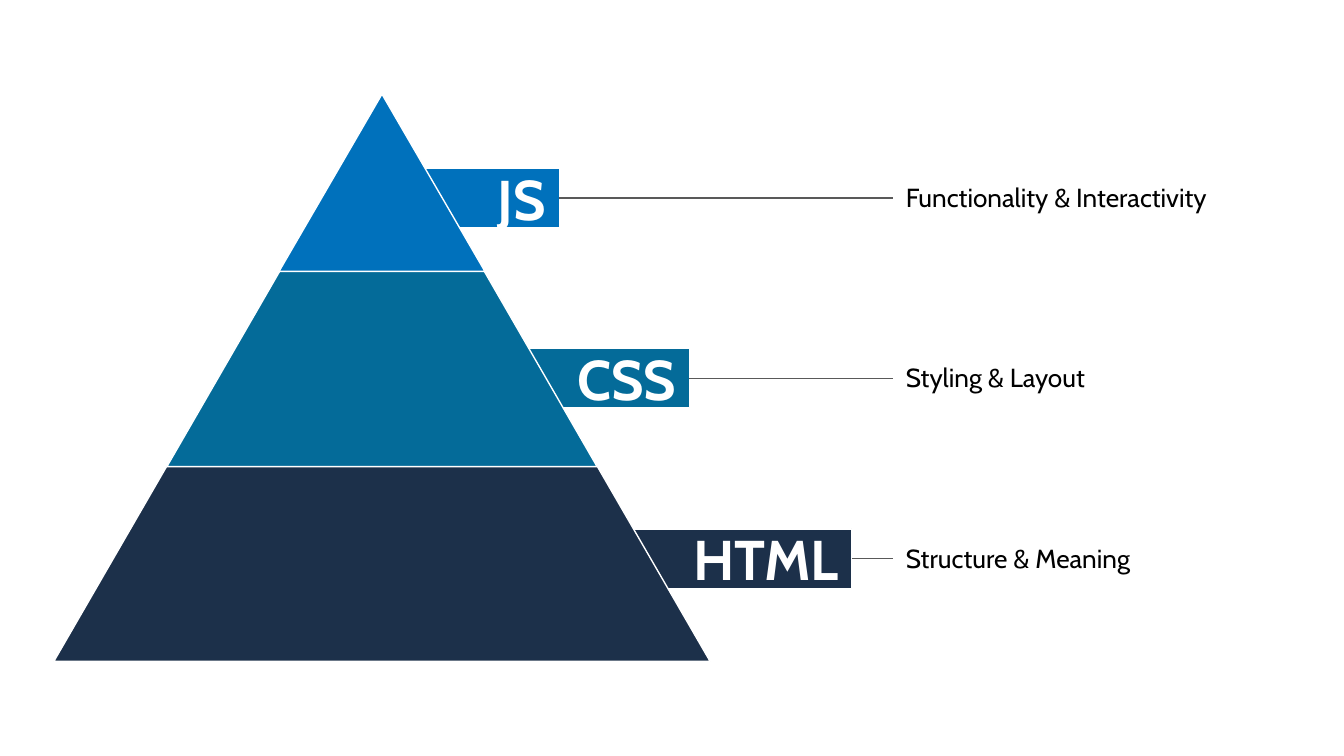
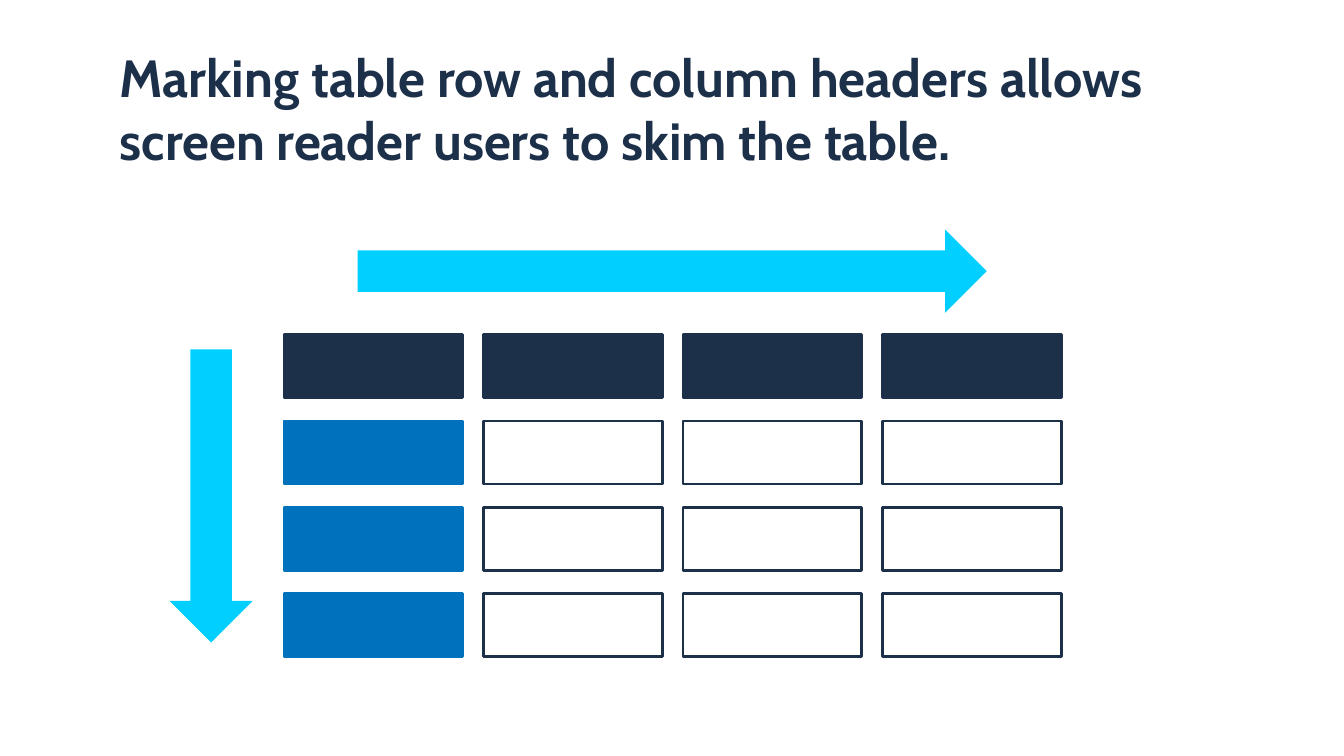
from lxml import etree
from pptx import Presentation
from pptx.dml.color import RGBColor
from pptx.enum.shapes import MSO_CONNECTOR, MSO_SHAPE
from pptx.enum.text import MSO_ANCHOR, MSO_AUTO_SIZE, PP_ALIGN
from pptx.oxml.ns import qn
from pptx.util import Cm, Pt

RECT = MSO_SHAPE.RECTANGLE
TRIANGLE = MSO_SHAPE.ISOSCELES_TRIANGLE
ARROW = MSO_SHAPE.RIGHT_ARROW
STRAIGHT = MSO_CONNECTOR.STRAIGHT
TOP, MIDDLE = MSO_ANCHOR.TOP, MSO_ANCHOR.MIDDLE
LEFT, RIGHT = PP_ALIGN.LEFT, PP_ALIGN.RIGHT
NO_FIT, GROW = MSO_AUTO_SIZE.NONE, MSO_AUTO_SIZE.SHAPE_TO_FIT_TEXT

FONT = "Cabin"
INSET = 0.25
COLORS = {
    "navy": "1C304A",
    "teal": "046B99",
    "blue": "0071BC",
    "cyan": "00CFFF",
    "gray": "595959",
    "white": "FFFFFF",
    "black": "000000",
}

LAYERS = [
    ("HTML", "Structure & Meaning", "navy", 12.4, 10.72, 11.28, 16.1),
    ("CSS", "Styling & Layout", "teal", 8.13, 7.04, 9.14, 13.03),
    ("JS", "Functionality & Interactivity", "blue", 3.89, 3.35, 7.8, 10.57),
]


def color(name):
    return RGBColor.from_string(COLORS[name])


def add_box(shapes, kind, box, fill=None, line=None, weight=0.75):
    s = shapes.add_shape(kind, *(Cm(v) for v in box))
    s.shadow.inherit = False
    if fill:
        s.fill.solid()
        s.fill.fore_color.rgb = color(fill)
    else:
        s.fill.background()
    if line:
        s.line.color.rgb = color(line)
        s.line.width = Pt(weight)
    else:
        s.line.fill.background()
    return s


def set_text(s, text, size, ink, bold=False, align=LEFT, anchor=MIDDLE, fit=NO_FIT):
    tf = s.text_frame
    tf.word_wrap = True
    tf.auto_size = fit
    tf.vertical_anchor = anchor
    tf.margin_left = tf.margin_right = Cm(INSET)
    tf.margin_top = tf.margin_bottom = Cm(INSET)
    p = tf.paragraphs[0]
    p.alignment = align
    r = p.add_run()
    r.text = text
    r.font.name = FONT
    r.font.size = Pt(size)
    r.font.bold = bold
    r.font.color.rgb = color(ink)


def add_line(shapes, x1, x2, y):
    c = shapes.add_connector(STRAIGHT, Cm(x1), Cm(y), Cm(x2), Cm(y))
    c.line.color.rgb = color("gray")
    c.line.width = Pt(0.75)
    etree.SubElement(c._element.spPr, qn("a:effectLst"))


def add_pyramid(shapes, left, top, width):
    apex = left + width / 2
    tag_h, step, label_x, label_w = 1.12, 3.41, 16.87, 7.42
    tag_y = top + 8.22
    for tag, label, fill, base, height, tag_x, tag_end in LAYERS:
        s = add_box(shapes, RECT, (tag_x, tag_y, tag_end - tag_x, tag_h), fill, "white")
        set_text(s, tag, 30, "white", bold=True, align=RIGHT)
        add_box(shapes, TRIANGLE, (apex - base / 2, top, base, height), fill, "white")
        tb = shapes.add_textbox(Cm(label_x), Cm(tag_y), Cm(label_w), Cm(tag_h))
        set_text(tb, label, 14, "black", anchor=TOP, fit=GROW)
        add_line(shapes, tag_end, label_x, tag_y + tag_h / 2)
        tag_y -= step


def add_grid(shapes, left, top, rows=4, cols=4):
    cell_w, cell_h, step_x, step_y = 3.38, 1.19, 3.77, 1.63
    group = shapes.add_group_shape().shapes
    for row in range(rows):
        for col in range(cols):
            fill = "navy" if row == 0 else "blue" if col == 0 else None
            box = (left + col * step_x, top + row * step_y, cell_w, cell_h)
            add_box(group, RECT, box, fill, fill or "navy", 1.5)


def add_arrows(shapes, left, top):
    thick = 1.57
    group = shapes.add_group_shape().shapes
    add_box(group, ARROW, (left + 5.54, top, 11.89, thick), "cyan")
    down = add_box(group, ARROW, (left, top + 4.25, 5.54, thick), "cyan")
    down.rotation = 90


def add_title(s, text, left, top, width, height):
    s.left, s.top, s.width, s.height = (Cm(v) for v in (left, top, width, height))
    set_text(s, text, 28, "navy", bold=True)


def pyramid_slide(prs):
    slide = prs.slides.add_slide(prs.slide_layouts[6])
    add_pyramid(slide.shapes, 1.02, 1.78, 12.4)


def table_slide(prs):
    slide = prs.slides.add_slide(prs.slide_layouts[5])
    add_grid(slide.shapes, 5.37, 6.33)
    add_arrows(slide.shapes, 1.22, 4.34)
    add_title(
        slide.shapes.title,
        "Marking table row and column headers allows screen reader users to skim the table.",
        2.01, 0, 21.36, 4.09,
    )


def main():
    prs = Presentation()
    prs.slide_width, prs.slide_height = Cm(25.4), Cm(14.29)
    pyramid_slide(prs)
    table_slide(prs)
    prs.save("out.pptx")


if __name__ == "__main__":
    main()
